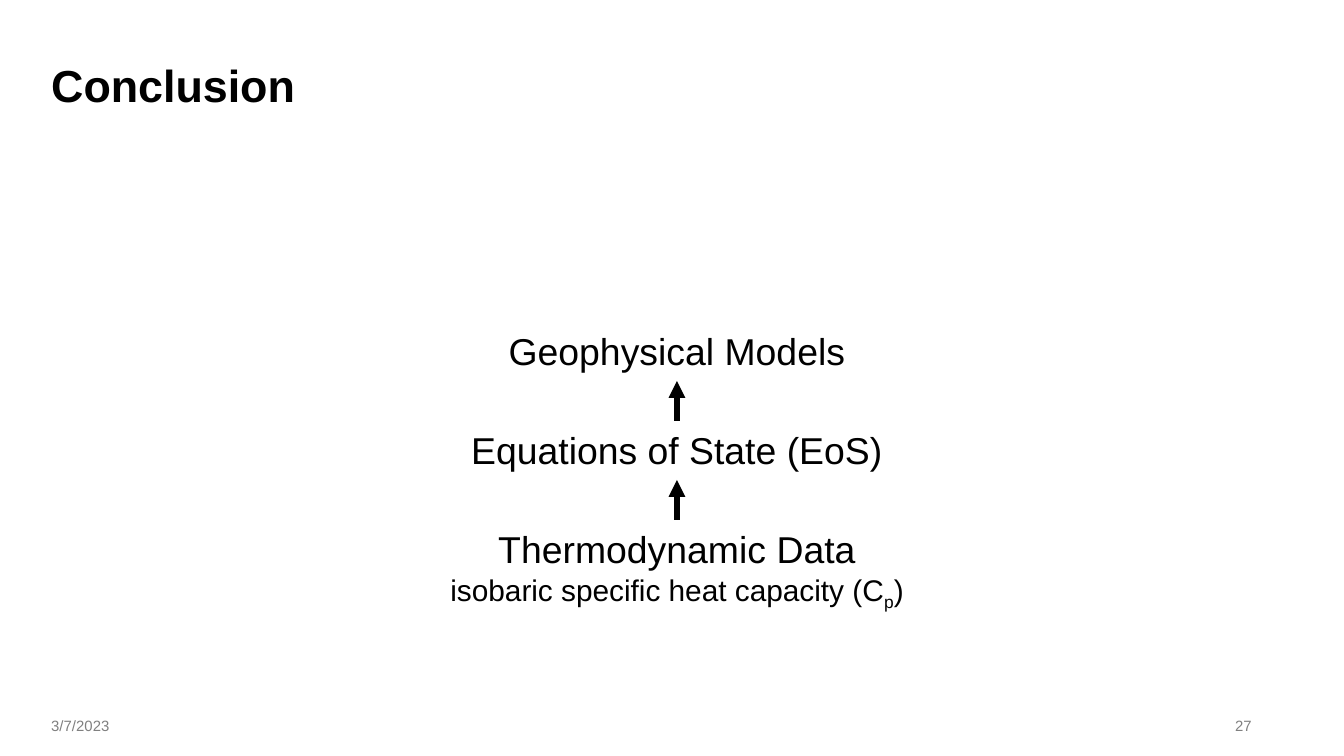
import pptx
import pptx.util
import pptx.dml.color
import pptx.enum.text
import pptx.enum.shapes
import lxml.etree

PX = 914400 / 134.4
THEME = {
    "font": "Arial",
    "ink": pptx.dml.color.RGBColor.from_string("000000"),
    "gray": pptx.dml.color.RGBColor.from_string("808080"),
    "title": 24,
    "body": 20,
    "note": 16,
    "foot": 8,
    "line": 3,
}
ALIGN = pptx.enum.text.PP_ALIGN
ANCHOR = pptx.enum.text.MSO_ANCHOR


def px(num):
    return pptx.util.Emu(round(num * PX))


def write(para, text, size="body", color="ink", bold=False, align=ALIGN.LEFT, base=0):
    para.alignment = align
    run = para.add_run()
    run.text = text
    run.font.name = THEME["font"]
    run.font.size = pptx.util.Pt(THEME[size])
    run.font.color.rgb = THEME[color]
    run.font.bold = bold
    if base:
        run.font._element.set("baseline", str(base * 1000))


deck = pptx.Presentation()
deck.slide_width, deck.slide_height = px(1344), px(756)
slide = deck.slides.add_slide(deck.slide_layouts[6])
shapes = slide.shapes

title = shapes.add_textbox(px(38), px(48), px(1251), px(63))
frame = title.text_frame
frame.word_wrap = True
frame.vertical_anchor = ANCHOR.BOTTOM
frame.margin_bottom = 0
write(frame.paragraphs[0], "Conclusion", size="title", bold=True)

for text, left, width, align in [
    ("3/7/2023", 38, 167, ALIGN.LEFT),
    ("27", 1133, 132, ALIGN.RIGHT),
]:
    frame = shapes.add_textbox(px(left), px(705), px(width), px(41)).text_frame
    frame.word_wrap = True
    frame.vertical_anchor = ANCHOR.MIDDLE
    write(frame.paragraphs[0], text, size="foot", color="gray", align=align)

mid, top, step = 677, 322, 99
steps = []
for row, (text, width, height) in enumerate([
    ("Geophysical Models", 818, 59),
    ("Equations of State (EoS)", 890, 59),
    ("Thermodynamic Data", 818, 95),
]):
    box = shapes.add_textbox(
        px(mid - width // 2), px(top + row * step), px(width), px(height))
    box.text_frame.word_wrap = True
    write(box.text_frame.paragraphs[0], text, align=ALIGN.CENTER)
    steps.append(box)

note = steps[-1].text_frame.add_paragraph()
for text, base in [("isobaric specific heat capacity (C", 0), ("p", -25), (")", 0)]:
    write(note, text, size="note", align=ALIGN.CENTER, base=base)

for upper, lower in zip(steps, steps[1:]):
    arrow = shapes.add_connector(pptx.enum.shapes.MSO_CONNECTOR.STRAIGHT, 0, 0, 0, 0)
    arrow.begin_connect(lower, 0)
    arrow.end_connect(upper, 2)
    arrow.line.color.rgb = THEME["ink"]
    arrow.line.width = pptx.util.Pt(THEME["line"])
    edge = arrow.line._get_or_add_ln()
    lxml.etree.SubElement(edge, pptx.oxml.ns.qn("a:tailEnd"), type="triangle")
    lxml.etree.SubElement(arrow._element.spPr, pptx.oxml.ns.qn("a:effectLst"))

deck.save("out.pptx")
